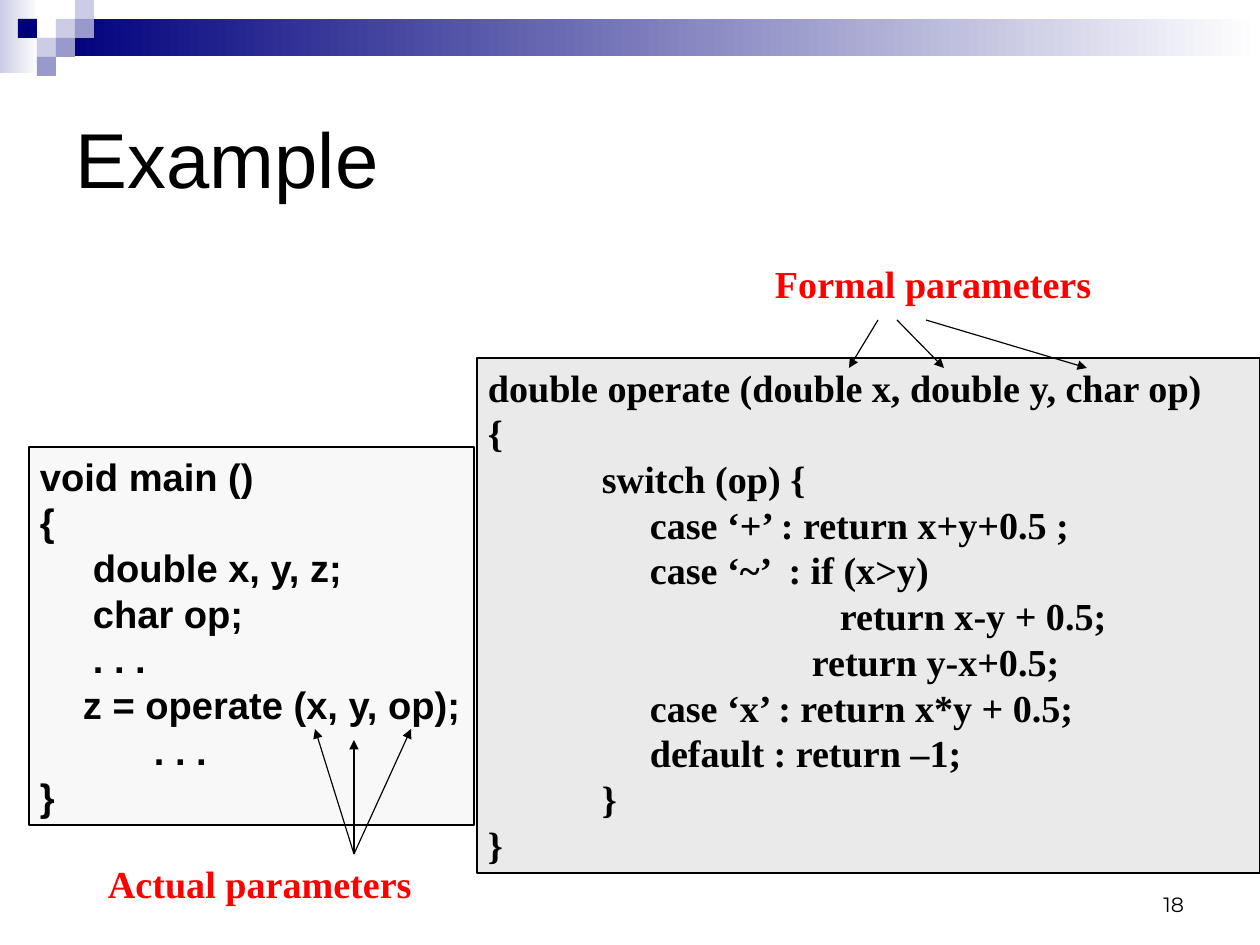
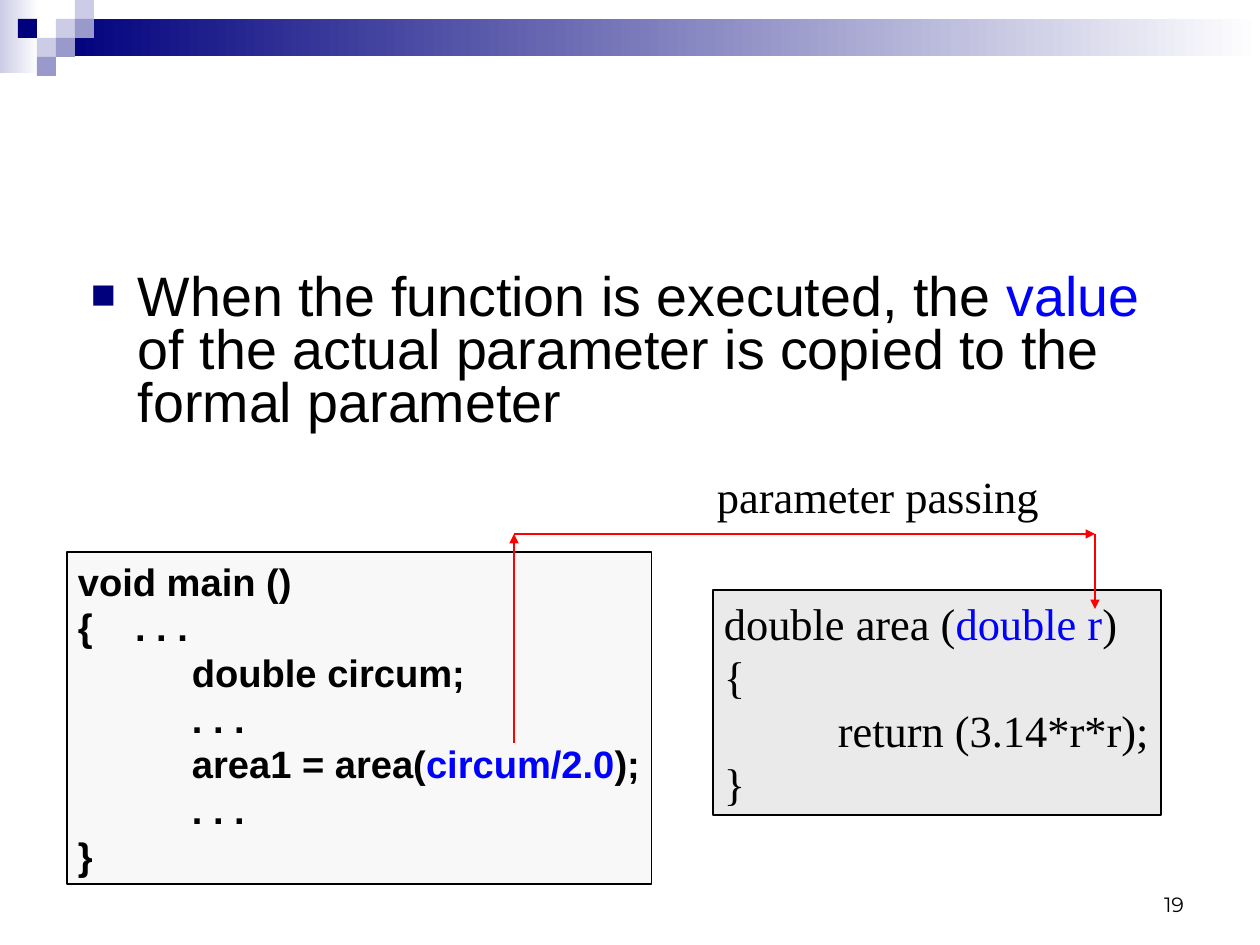
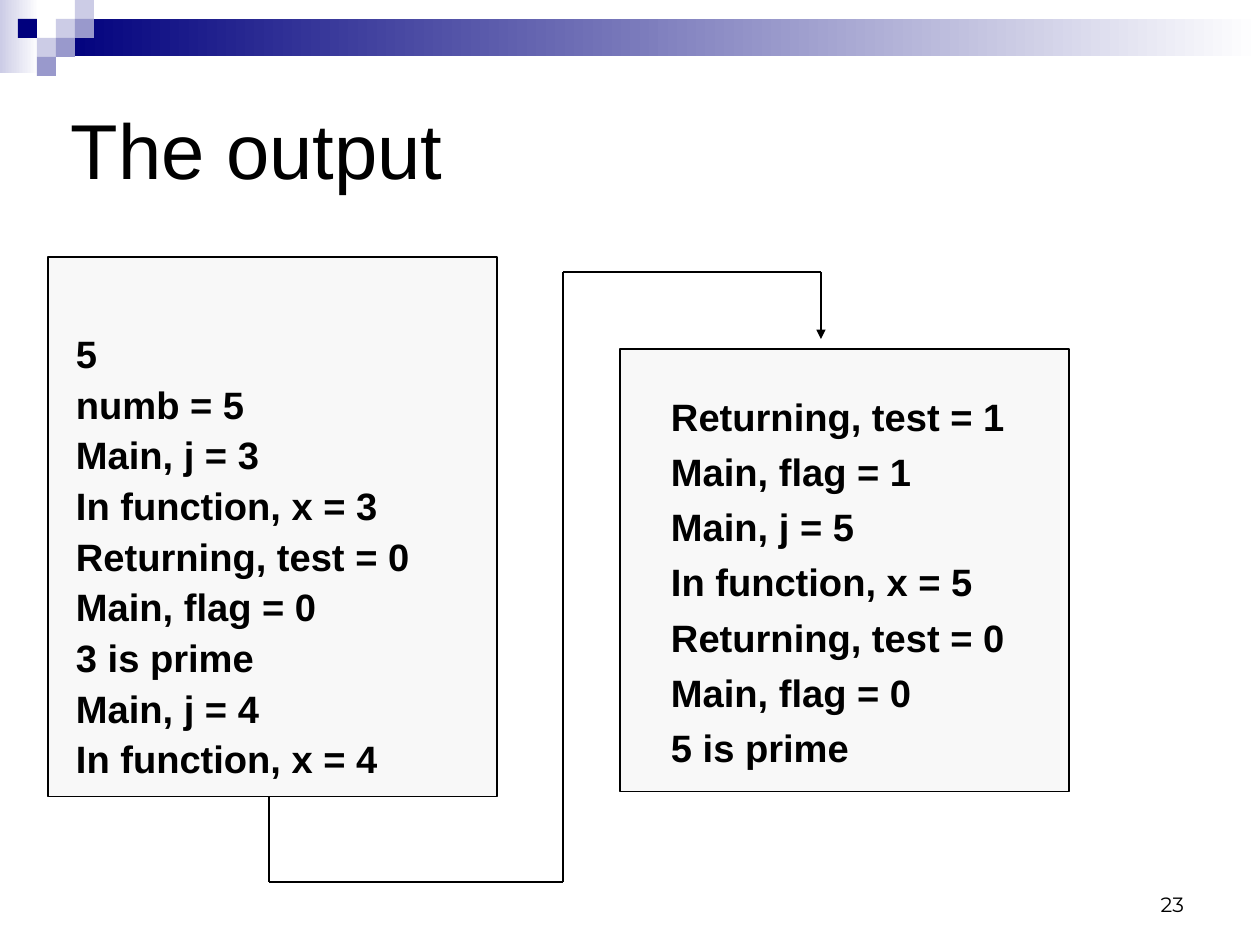
"""Build three slides on function parameters and their output."""
import itertools

import lxml.etree
import pptx
import pptx.dml.color
import pptx.enum.shapes
import pptx.enum.text
import pptx.oxml
import pptx.oxml.ns
import pptx.util

PX = 8000
BLACK, RED, BLUE, NAVY = "000000", "FF0000", "0000FF", "00007D"
LILAC, MAUVE, WHITE = "CCCCE6", "9999CC", "FFFFFF"
PALE, GREY = "F8F8F8", "EAEAEA"
SERIF = "Times New Roman"
TAB = 114
RECT = pptx.enum.shapes.MSO_SHAPE.RECTANGLE
ANCHOR = pptx.enum.text.MSO_ANCHOR
rgb = pptx.dml.color.RGBColor.from_string
qn = pptx.oxml.ns.qn


def box(slide, at, lines=(), size=24, font="Arial", bold=False, ink=BLACK,
        fill=None, edge=0.75, ratio=1, gap=0):
    """Add a text box or filled panel; lines are (indent, text), with |blue| parts."""
    place = [n * PX for n in at]
    if fill:
        shape = slide.shapes.add_shape(RECT, *place)
        shape.shadow.inherit = False
        shape.fill.solid()
        shape.fill.fore_color.rgb = rgb(fill)
        shape.line.color.rgb = rgb(BLACK)
        shape.line.width = pptx.util.Pt(edge)
    else:
        shape = slide.shapes.add_textbox(*place)
    frame = shape.text_frame
    frame.word_wrap = True
    frame.vertical_anchor = ANCHOR.TOP
    frame.margin_left, frame.margin_top = 11 * PX, 6 * PX
    frame.margin_right = frame.margin_bottom = 0
    for row, (indent, text) in enumerate(lines):
        para = frame.add_paragraph() if row else frame.paragraphs[0]
        para.alignment = pptx.enum.text.PP_ALIGN.LEFT
        para.line_spacing = pptx.util.Pt(round(size * 1.2 * ratio, 1))
        para.space_before = pptx.util.Pt(gap if row else 0)
        props = para._p.get_or_add_pPr()
        props.set("marL", str(indent * PX))
        props.set("indent", "0")
        if "\t" in text:
            tabs = lxml.etree.SubElement(props, qn("a:tabLst"))
            lxml.etree.SubElement(tabs, qn("a:tab"), pos=str(TAB * PX), algn="l")
        for part, words in enumerate(text.split("|")):
            run = para.add_run()
            run.text = words
            run.font.name = font
            run.font.size = pptx.util.Pt(size)
            run.font.bold = bold
            run.font.color.rgb = rgb(BLUE if part % 2 else ink)
    return shape


def line(slide, start, end, ink=BLACK, width=0.75, arrow=True):
    """Add a straight line, with an arrowhead at its end if wanted."""
    link = slide.shapes.add_connector(
        pptx.enum.shapes.MSO_CONNECTOR.STRAIGHT, *[n * PX for n in (*start, *end)])
    link.line.color.rgb = rgb(ink)
    link.line.width = pptx.util.Pt(width)
    if arrow:
        lxml.etree.SubElement(link.line._get_or_add_ln(), qn("a:tailEnd"), type="triangle")
    lxml.etree.SubElement(link.element.spPr, qn("a:effectLst"))


deck = pptx.Presentation()
deck.slide_width, deck.slide_height = 1260 * PX, 945 * PX
blank = deck.slide_layouts[6]
for holder in list(blank.placeholders):
    holder.element.getparent().remove(holder.element)
first, second, third = [deck.slides.add_slide(blank) for _ in range(3)]

bands = [((0, 0, 39, 73), LILAC, WHITE), ((57, 19, 1203, 37), NAVY, WHITE)]
tiles = [(2, 1, LILAC), (3, 0, LILAC), (3, 1, MAUVE), (1, 2, LILAC),
         (0, 1, NAVY), (2, 2, MAUVE), (1, 3, MAUVE)]
bands += [((18 + 19 * col, 19 * row, 19, 19), ink, None) for col, row, ink in tiles]
for at, ink, fade in bands:
    band = first.shapes.add_shape(RECT, *[n * PX for n in at])
    band.shadow.inherit = False
    band.line.fill.background()
    if fade:
        band.fill.gradient()
        band.fill.gradient_angle = 0
        for stop, hue in zip(band.fill.gradient_stops, (ink, fade)):
            stop.color.rgb = rgb(hue)
    else:
        band.fill.solid()
        band.fill.fore_color.rgb = rgb(ink)
    blank.shapes.element.append(band.element)

for slide, number in ((first, "18"), (second, "19"), (third, "23")):
    foot = box(slide, (903, 861, 281, 56), [(0, number)], 13, "Montserrat").text_frame
    foot.vertical_anchor = ANCHOR.BOTTOM
    foot.paragraphs[0].alignment = pptx.enum.text.PP_ALIGN.RIGHT

for slide, left, top, text in ((first, 65, 60, "Example"), (third, 60, 51, "The output")):
    title = box(slide, (left, top, 1130, 189), [(0, text)], 49)
    title.text_frame.vertical_anchor = ANCHOR.MIDDLE

box(first, (29, 447, 445, 378), [
    (0, "void main ()"),
    (0, "{"),
    (53, "double x, y, z;"),
    (53, "char op;"),
    (53, ". . ."),
    (43, "z = operate (x, y, op);"),
    (TAB, ". . ."),
    (0, "}"),
], bold=True, fill=PALE, edge=1)
box(first, (477, 358, 783, 515), [
    (0, "double operate (double x, double y, char op)"),
    (0, "{"),
    (TAB, "switch (op) {"),
    (162, "case ‘+’ : return x+y+0.5 ;"),
    (162, "case ‘~’  : if (x>y)"),
    (352, "return x-y + 0.5;"),
    (324, "return y-x+0.5;"),
    (162, "case ‘x’ : return x*y + 0.5;"),
    (162, "default : return –1;"),
    (TAB, "}"),
    (0, "}"),
], font=SERIF, bold=True, fill=GREY, edge=1.5)
for left, top, text in ((97, 854, "Actual parameters"), (764, 254, "Formal parameters")):
    box(first, (left, top, 371, 57), [(0, text)], font=SERIF, bold=True, ink=RED)
for tip in ((315, 729), (354, 740), (411, 729)):
    line(first, (354, 854), tip)
for start, end in ((878, 849), (897, 944), (926, 1087)):
    line(first, (start, 320), (end, 368))

point = box(second, (80, 268, 1120, 184), [
    (47, "When the function is executed, the |value| of the actual parameter "
         "is copied to the formal parameter"),
], 35, ratio=0.8)
props = point.text_frame.paragraphs[0]._p.get_or_add_pPr()
props.set("indent", str(-47 * PX))
tint = lxml.etree.SubElement(props, qn("a:buClr"))
lxml.etree.SubElement(tint, qn("a:srgbClr"), val=NAVY)
lxml.etree.SubElement(props, qn("a:buSzPct"), val="75000")
lxml.etree.SubElement(props, qn("a:buFont"), typeface="Arial")
lxml.etree.SubElement(props, qn("a:buChar"), char="■")

box(second, (67, 552, 585, 332), [
    (0, "void main ()"),
    (0, "{\t. . ."),
    (TAB, "double circum;"),
    (TAB, ". . ."),
    (TAB, "area1 = area(|circum/2.0|);"),
    (TAB, ". . ."),
    (0, "}"),
], bold=True, fill=PALE)
box(second, (713, 590, 448, 225), [
    (0, "double area (|double r|)"),
    (0, "{"),
    (TAB, "return (3.14*r*r);"),
    (0, "}"),
], 28, SERIF, fill=GREY, edge=1)
for start, end in itertools.pairwise([(514, 743), (514, 534), (1095, 534), (1095, 609)]):
    line(second, start, end, RED, 1.5)
box(second, (706, 463, 344, 65), [(0, "parameter passing")], 28, SERIF)

for at in ((620, 349, 449, 443), (48, 257, 449, 540)):
    box(third, at, fill=PALE)
left = ["5", "numb = 5", "Main, j = 3", "In function, x = 3", "Returning, test = 0",
        "Main, flag = 0", "3 is prime", "Main, j = 4", "In function, x = 4"]
right = ["Returning, test = 1", "Main, flag = 1", "Main, j = 5", "In function, x = 5",
         "Returning, test = 0", "Main, flag = 0", "5 is prime"]
for at, texts, ratio in (((65, 329, 420, 479), left, 0.9), ((660, 387, 400, 418), right, 1)):
    box(third, at, [(0, text) for text in texts], bold=True, ratio=ratio, gap=6)
route = [(269, 797), (269, 882), (563, 882), (563, 272), (821, 272), (821, 339)]
for start, end in itertools.pairwise(route):
    line(third, start, end, arrow=end == route[-1])

deck.save("out.pptx")
